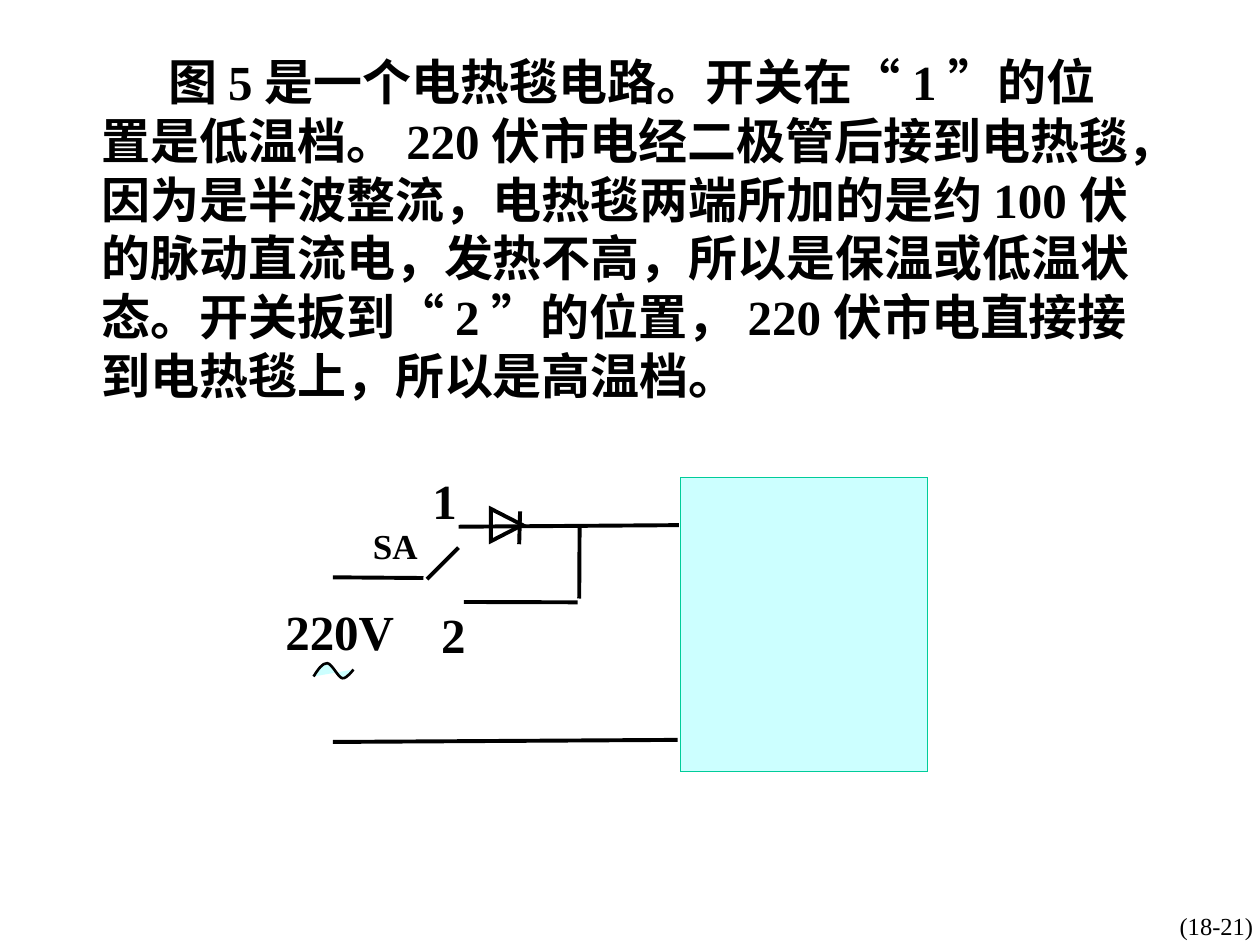
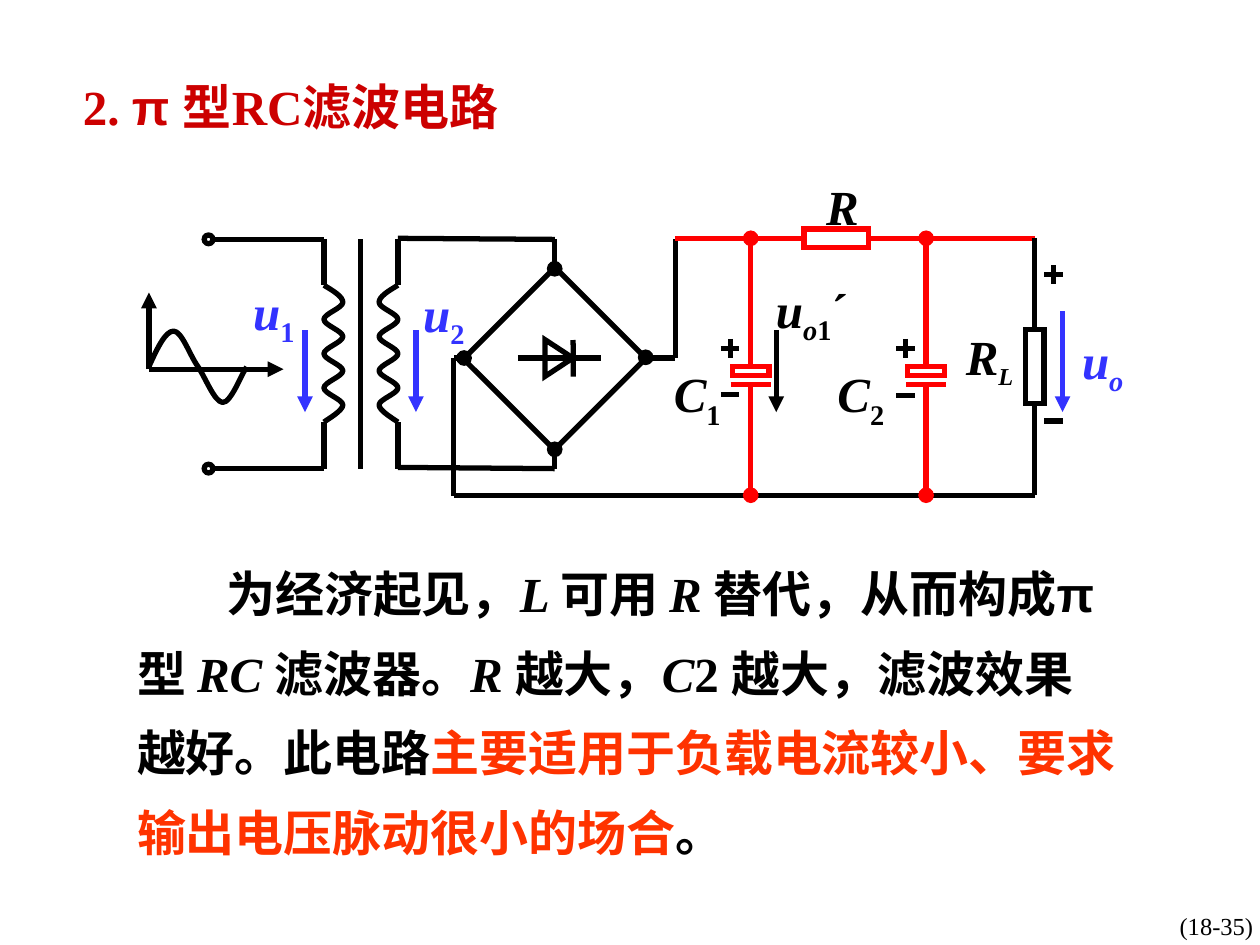
import lxml.etree
import pptx
import pptx.dml.color
import pptx.enum.shapes
import pptx.enum.text
import pptx.oxml.ns
import pptx.util

Pt = pptx.util.Pt
qn = pptx.oxml.ns.qn
SHAPES = pptx.enum.shapes.MSO_SHAPE
COLORS = {
    "ink": "000000", "blanket": "CCFFFF", "blanket_edge": "00CC99", "filter": "FF0000",
    "voltage": "3333FF", "title": "CC0000", "stress": "FF3300",
}
SERIF = "Times New Roman"
ITALIC = {"italic": True}
SUB = {"italic": False, "baseline": -25}
ITALIC_SUB = {"italic": True, "baseline": -25}

# Shared levels and columns of the filter circuit
TOP, RAIL, BOTTOM, GROUND = 136.8, 136.2, 267.8, 283
PRIMARY, CORE, SECONDARY = 185.1, 206, 227.4
COIL_TOP, COIL_BOTTOM = 163, 241.2
BRIDGE_X, BRIDGE_Y = 317, 204.6
RETURN, OUTPUT, LOAD = 259.2, 385.8, 591.2
ARROW_TOP, ARROW_BOTTOM = 188.6, 235.5


def rgb(name):
    return pptx.dml.color.RGBColor.from_string(COLORS[name])


def add_text(page, left, top, width, height, runs, color="ink", size=28, bold=True,
             indent=0, spacing=None):
    """Add a text box; runs is a string or a list of (text, style) pairs."""
    box = page.shapes.add_textbox(Pt(left), Pt(top), Pt(width), Pt(height))
    frame = box.text_frame
    frame.word_wrap = True
    frame.auto_size = pptx.enum.text.MSO_AUTO_SIZE.SHAPE_TO_FIT_TEXT
    para = frame.paragraphs[0]
    if spacing:
        para.line_spacing = spacing
    if indent:
        para._p.get_or_add_pPr().set("indent", str(Pt(indent)))
    if isinstance(runs, str):
        runs = [(runs, {})]
    for text, style in runs:
        span = para.add_run()
        span.text = text
        span.font.name = style.get("font", SERIF)
        span.font.size = Pt(style.get("size", size))
        span.font.bold = bold
        span.font.italic = style.get("italic", False)
        span.font.color.rgb = rgb(style.get("color", color))
        if "baseline" in style:
            span.font._element.set("baseline", str(style["baseline"] * 1000))
    return box


def add_footer(page, text):
    box = add_text(page, 625.6, 517, 139, 24, text, size=14, bold=False)
    box.text_frame.vertical_anchor = pptx.enum.text.MSO_ANCHOR.MIDDLE
    box.text_frame.paragraphs[0].alignment = pptx.enum.text.PP_ALIGN.CENTER


def paint(shape, line, width, fill=None):
    shape.shadow.inherit = False
    shape.line.color.rgb = rgb(line)
    shape.line.width = Pt(width)
    if fill:
        shape.fill.solid()
        shape.fill.fore_color.rgb = rgb(fill)
    else:
        shape.fill.background()


def add_outline(page, kind, center_x, center_y, width, height, line="ink", weight=3,
                fill=None, rotation=0):
    shape = page.shapes.add_shape(kind, Pt(center_x - width / 2), Pt(center_y - height / 2),
                                  Pt(width), Pt(height))
    shape.rotation = rotation
    paint(shape, line, weight, fill)
    edge = shape.element.spPr.find(qn("a:ln"))
    lxml.etree.SubElement(edge, qn("a:miter"), lim="800000")
    return shape


def add_wire(page, start, end, color="ink", weight=3, tail=None):
    """Draw a straight line; tail names the line ending at its end point."""
    wire = page.shapes.add_connector(pptx.enum.shapes.MSO_CONNECTOR.STRAIGHT,
                                     *(Pt(value) for value in (*start, *end)))
    wire.line.color.rgb = rgb(color)
    wire.line.width = Pt(weight)
    properties = wire.element.spPr
    if tail:
        lxml.etree.SubElement(properties.find(qn("a:ln")), qn("a:tailEnd"), type=tail)
    lxml.etree.SubElement(properties, qn("a:effectLst"))
    return wire


def add_curve(page, points, weight, fill=None):
    """Draw Bezier curves: a start point, then two controls and an end for each."""
    start, *rest = [(Pt(x), Pt(y)) for x, y in points]
    builder = page.shapes.build_freeform(*start)
    builder.add_line_segments(rest, close=False)
    shape = builder.convert_to_shape()
    outline = next(shape.element.iter(qn("a:path")))
    segments = outline.findall(qn("a:lnTo"))
    for first in range(0, len(segments), 3):
        bezier = lxml.etree.SubElement(outline, qn("a:cubicBezTo"))
        for segment in segments[first:first + 3]:
            bezier.append(segment[0])
            outline.remove(segment)
    paint(shape, "ink", weight, fill)


def add_coil(page, x, bulge, half_turns=8):
    step = (COIL_BOTTOM - COIL_TOP) / half_turns
    points = [(x, COIL_TOP)]
    for turn in range(half_turns):
        y = COIL_TOP + turn * step
        near, far = (x, x + bulge) if turn % 2 == 0 else (x + bulge, x)
        points += [(near, y + step / 3), (far, y + step * 2 / 3), (far, y + step)]
    points[1] = (x + bulge / 2, points[1][1])
    points[-2] = (x + bulge / 5, COIL_BOTTOM - step / 6)
    add_curve(page, points, 3)
    add_wire(page, (x, TOP), (x, COIL_TOP))
    add_wire(page, (x, BOTTOM), (x, COIL_BOTTOM))


def add_diode(page, x, y, base, height, weight, bar_top, bar_bottom):
    add_outline(page, SHAPES.ISOSCELES_TRIANGLE, x, y, base, height, weight=weight, rotation=90)
    add_wire(page, bar_top, bar_bottom, weight=weight)


def add_polarity(page, x, plus_y, minus_y, reach=5.3):
    for y in (plus_y, minus_y):
        add_wire(page, (x - reach, y), (x + reach, y))
    add_wire(page, (x, plus_y - reach), (x, plus_y + reach))


def add_capacitor(page, x, number, label_left, label_width, minus_y):
    plate = add_outline(page, SHAPES.RECTANGLE, x, 212, 21, 5, "filter")
    add_wire(page, (x - 11.5, 219.6), (x + 11.5, 219.6), "filter")
    add_wire(page, (x, 219.6), (x, GROUND), "filter", tail="oval")
    add_wire(page, (x, 209.5), (x, RAIL), "filter", tail="oval").begin_connect(plate, 0)
    add_polarity(page, x - 11.75, 199, minus_y)
    add_text(page, label_left, 204.4, label_width, 45, [("C", ITALIC), (number, SUB)])


def add_voltage(page, x, top, label_left, label_top, width, label, color="voltage"):
    add_wire(page, (x, top), (x, ARROW_BOTTOM), color, tail="triangle")
    add_text(page, label_left, label_top, width, 45, [("u", ITALIC)] + label, color)


def add_source_wave(page):
    origin = (85.1, 211)
    add_wire(page, origin, (85.1, 167.2), tail="triangle")
    add_wire(page, origin, (162, 211), tail="triangle")
    add_curve(page, [
        (85, 209.7), (89.7, 199.5), (94.4, 189.2), (99.2, 189.2),
        (103.8, 189.2), (108.2, 202.3), (112.8, 209),
        (117.5, 215.8), (122.4, 229.5), (127.2, 230),
        (132, 230.3), (138.2, 213.3), (141, 209.7),
    ], 3)


def add_transformer(page):
    for y, secondary_y in ((TOP, RAIL), (BOTTOM, BOTTOM - 0.7)):
        add_outline(page, SHAPES.OVAL, 119.2, y, 5, 5)
        add_wire(page, (121.7, y), (PRIMARY, y))
        add_wire(page, (SECONDARY, secondary_y), (BRIDGE_X, y))
    add_coil(page, PRIMARY, 10.8)
    add_wire(page, (CORE, TOP), (CORE, BOTTOM))
    add_coil(page, SECONDARY, -10.8)


def add_bridge(page):
    left, right, upper, lower = 265.2, 369, 153.6, 256.8
    add_outline(page, SHAPES.RECTANGLE, BRIDGE_X, 204.9, 73.5, 74, rotation=45)
    add_wire(page, (296, BRIDGE_Y), (343.5, BRIDGE_Y))
    add_diode(page, 319.4, BRIDGE_Y, 21, 16, 3, (327.5, 194.3), (327.6, 215.2))
    add_wire(page, (BRIDGE_X, TOP), (BRIDGE_X, upper))
    add_wire(page, (BRIDGE_X, lower), (BRIDGE_X, BOTTOM))
    add_wire(page, (left, BRIDGE_Y), (RETURN, BRIDGE_Y))
    add_wire(page, (RETURN, BRIDGE_Y), (RETURN, GROUND + 0.7))
    add_wire(page, (right, BRIDGE_Y), (OUTPUT, BRIDGE_Y))
    add_wire(page, (OUTPUT, BRIDGE_Y), (OUTPUT, TOP))
    for x, y in ((BRIDGE_X, upper), (right, 204.2), (left, BRIDGE_Y), (BRIDGE_X, lower)):
        add_outline(page, SHAPES.OVAL, x, y, 8, 8, weight=1, fill="ink")


def add_filter_and_load(page):
    add_wire(page, (RETURN, GROUND), (LOAD, GROUND))
    resistor = add_outline(page, SHAPES.RECTANGLE, 478, RAIL, 37, 10.8, "filter")
    add_wire(page, (OUTPUT, RAIL), (459.5, RAIL), "filter").end_connect(resistor, 1)
    add_wire(page, (LOAD, RAIL), (496.5, RAIL), "filter").end_connect(resistor, 3)
    label = add_text(page, 465, 97.4, 33, 41, [("R", ITALIC)])
    label.text_frame.word_wrap = False
    add_capacitor(page, 429, "1", 378, 50, 225.4)
    add_capacitor(page, 529.2, "2", 471.5, 64, 226.2)
    load = add_outline(page, SHAPES.RECTANGLE, LOAD, 209.5, 10.8, 42)
    add_wire(page, (LOAD, 188.5), (LOAD, RAIL)).begin_connect(load, 0)
    add_wire(page, (LOAD, 230.5), (LOAD, GROUND)).begin_connect(load, 2)
    add_polarity(page, 602, 157, 240.6)
    add_text(page, 544.8, 183, 43, 44, [("R", ITALIC), ("L", {**ITALIC_SUB, "size": 24})])


def build_blanket_slide(page):
    add_footer(page, "(18-21)")
    add_text(page, 51, 25.8, 606, 209,
             "图 5 是一个电热毯电路。开关在“ 1 ”的位置是低温档。 220 伏市电经二极管后接到电热毯，"
             "因为是半波整流，电热毯两端所加的是约 100 伏的脉动直流电，发热不高，所以是保温或低温状态。"
             "开关扳到“ 2 ”的位置， 220 伏市电直接接到电热毯上，所以是高温档。", indent=38)
    add_outline(page, SHAPES.RECTANGLE, 459.5, 357, 141, 168, "blanket_edge", 0.75, "blanket")
    for start, end in (
        ((262.1, 301), (388, 300.1)),
        ((331.2, 301), (331, 342)),
        ((265.1, 344), (330.1, 344.2)),
        ((190.2, 329.9), (242, 330.3)),
        ((244, 331), (262, 313)),
        ((190.2, 424), (387.2, 422.8)),
    ):
        add_wire(page, start, end, weight=2.25)
    add_diode(page, 289.5, 300, 18.5, 18, 2.25, (297.2, 292.2), (296.7, 311))
    add_text(page, 240, 265.3, 30, 41, "1")
    add_text(page, 245, 342, 40, 41, "2")
    add_text(page, 206, 296, 62, 32, "SA", size=20)
    add_text(page, 156, 340, 86, 41, "220V")
    add_curve(page, [
        (179.2, 386.6), (181.7, 382.7), (184.2, 378.8), (187, 379),
        (189.8, 379.3), (193.1, 387), (195.6, 387.6),
        (198.1, 388.1), (202, 382.6), (202, 382.6),
    ], 1.5, "blanket")


def build_filter_slide(page):
    add_footer(page, "(18-35)")
    add_source_wave(page)
    add_transformer(page)
    add_bridge(page)
    add_filter_and_load(page)
    add_voltage(page, 174.3, ARROW_TOP, 137.6, 157.3, 58, [("1", SUB)])
    add_voltage(page, 237.7, ARROW_TOP, 234.7, 158.3, 66, [("2", SUB)])
    add_voltage(page, 443.6, ARROW_TOP, 436.3, 156.2, 64,
                [("o", ITALIC_SUB), ("1", SUB), ("´", ITALIC | {"italic": False})], "ink")
    add_voltage(page, 607.2, 178, 611.2, 185.3, 57, [("o", ITALIC_SUB)])
    add_text(page, 40.3, 40.2, 444, 41,
             [("2. ", {}), ("π ", {"font": "Arial"}), ("型RC滤波电路", {})], "title")
    add_text(page, 71.2, 307, 577, 189, [
        ("为经济起见，", {}), ("L ", ITALIC), ("可用 ", {}), ("R ", ITALIC),
        ("替代，从而构成", {}), ("π", {"font": "Arial"}), (" 型 ", {}), ("RC ", ITALIC),
        ("滤波器。", {}), ("R ", ITALIC), ("越大，", {}), ("C", ITALIC),
        ("2 越大，滤波效果越好。此电路", {}),
        ("主要适用于负载电流较小、要求输出电压脉动很小的场合", {"color": "stress"}), ("。", {}),
    ], indent=51, spacing=1.35)


def main():
    deck = pptx.Presentation()
    deck.slide_width, deck.slide_height = Pt(720), Pt(540)
    for build in (build_blanket_slide, build_filter_slide):
        build(deck.slides.add_slide(deck.slide_layouts[6]))
    deck.save("out.pptx")


if __name__ == "__main__":
    main()
